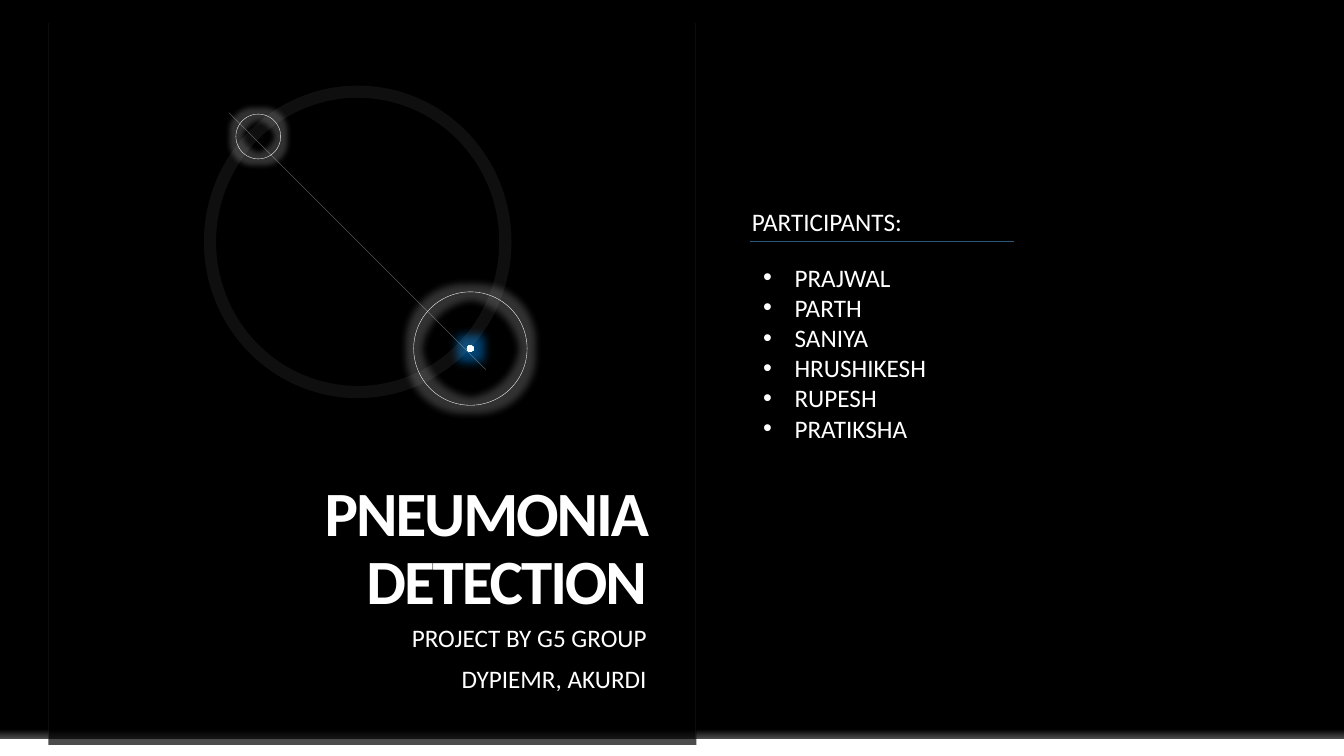
"""Build the opening slide of a pneumonia detection project."""
from collections import namedtuple

from lxml.etree import SubElement
from pptx import Presentation
from pptx.dml.color import RGBColor as Color
from pptx.enum.shapes import MSO_CONNECTOR as Connector, MSO_SHAPE as Shape
from pptx.enum.text import MSO_ANCHOR as Anchor, MSO_AUTO_SIZE as AutoSize, PP_ALIGN as Align
from pptx.oxml.ns import qn
from pptx.util import Pt

Theme = namedtuple("Theme", "font black white edge axis rule halo spark mist sky title body")
theme = Theme("Calibri", "000000", "FFFFFF", "F2F2F2", "E7E6E6", "2C567A",
              "FFFFFF", "0070C0", "F7FFFF", "C1E4FF", 45, 18)

deck = Presentation()
deck.slide_width, deck.slide_height = Pt(960), Pt(540)
page = deck.slides.add_slide(deck.slide_layouts[6])
page.background.fill.solid()
page.background.fill.fore_color.rgb = Color.from_string(theme.black)


def paint(shape, fill=None, line=None, width=0.25, opacity=100, glow=None):
    if fill:
        shape.fill.solid()
        shape.fill.fore_color.rgb = Color.from_string(fill)
    elif hasattr(shape, "fill"):
        shape.fill.background()
    if line:
        shape.line.color.rgb = Color.from_string(line)
        shape.line.width = Pt(width)
    else:
        shape.line.fill.background()
    properties = shape.element.spPr
    if opacity < 100:
        for color in properties.iter(qn("a:srgbClr")):
            SubElement(color, qn("a:alpha"), val=str(opacity * 1000))
    effects = SubElement(properties, qn("a:effectLst"))
    if glow:
        tint, radius, strength = glow
        halo = SubElement(effects, qn("a:glow"), rad=str(Pt(radius)))
        color = SubElement(halo, qn("a:srgbClr"), val=tint)
        SubElement(color, qn("a:alpha"), val=str(strength * 1000))
    return shape


def write(text, at, size=theme.body, bold=False, align=Align.LEFT, anchor=Anchor.TOP,
          inset=None, grow=False, leading=None, before=0, tracking=None, bullet=None):
    box = page.shapes.add_textbox(*map(Pt, at))
    frame = box.text_frame
    frame.word_wrap = True
    frame.vertical_anchor = anchor
    frame.auto_size = AutoSize.SHAPE_TO_FIT_TEXT if grow else AutoSize.NONE
    if inset is not None:
        frame.margin_left = frame.margin_right = Pt(inset)
        frame.margin_top = frame.margin_bottom = Pt(inset)
    frame.text = text
    for para in frame.paragraphs:
        para.alignment = align
        para.line_spacing = leading
        para.space_before = Pt(before)
        if bullet:
            layout = para._p.get_or_add_pPr()
            layout.set("marL", str(Pt(22.5)))
            layout.set("indent", str(-Pt(22.5)))
            SubElement(layout, qn("a:buFont"), typeface="Arial")
            SubElement(layout, qn("a:buChar"), char=bullet)
        for span in para.runs:
            span.font.name = theme.font
            span.font.size = Pt(size)
            span.font.bold = bold
            span.font.color.rgb = Color.from_string(theme.white)
            if tracking:
                span.font._element.set("spc", str(int(tracking * 100)))


panels = []
for at, fill, opacity in [
    ((0, 528, 960, 12), theme.white, 100),
    ((0, 516, 960, 12), theme.white, 100),
    ((34.5, 306.5, 463, 225.5), theme.black, 70),
    ((34.5, 16.5, 463, 290.5), theme.black, 94),
]:
    panel = page.shapes.add_shape(Shape.RECTANGLE, *map(Pt, at))
    panels.append(paint(panel, fill=fill, opacity=opacity))
floor_fade = panels[1]

for x in (497, 34.5):
    edge = page.shapes.add_connector(Connector.STRAIGHT, Pt(x), Pt(16.5), Pt(x), Pt(528))
    paint(edge, line=theme.edge, opacity=15)

write("PNEUMONIA DETECTION", (47.5, 294, 414.5, 147.5), size=theme.title, bold=True,
      align=Align.RIGHT, anchor=Anchor.BOTTOM, inset=0, leading=0.9, tracking=-1.5)
write("PROJECT BY G5 GROUP\nDYPIEMR, AKURDI", (55.5, 447, 406.5, 55), align=Align.RIGHT,
      inset=0, leading=0.9, before=10)

target = page.shapes.add_group_shape()
orbit = page.shapes.add_group_shape()
circles = []
for parent, at, look in [
    (page, (168.5, 81.5, 32, 32), dict(line=theme.white, glow=(theme.halo, 8, 20))),
    (target, (295.5, 208.5, 81, 81), dict(line=theme.white, glow=(theme.halo, 11, 20))),
    (target, (333.5, 246.5, 5, 5), dict(fill=theme.white, glow=(theme.spark, 14, 60))),
    (orbit, (150, 65.5, 211, 214.5), dict(line=theme.white, width=8.75, opacity=6)),
]:
    circle = parent.shapes.add_shape(Shape.OVAL, *map(Pt, at))
    circles.append(paint(circle, **look))
spark = circles[2]
axis = orbit.shapes.add_connector(Connector.STRAIGHT, Pt(163.5), Pt(80.5), Pt(347), Pt(264))
paint(axis, line=theme.axis, width=0.5, opacity=30)

for shape, stops in [
    (floor_fade, [(40, theme.white, 0), (100, theme.white, 35)]),
    (spark, [(0, theme.white, 100), (65, theme.mist, 100), (70, theme.sky, 100)]),
]:
    solid = shape.element.spPr.find(qn("a:solidFill"))
    gradient = SubElement(shape.element.spPr, qn("a:gradFill"), rotWithShape="1")
    solid.getparent().replace(solid, gradient)
    stop_list = SubElement(gradient, qn("a:gsLst"))
    for place, tint, opacity in stops:
        stop = SubElement(stop_list, qn("a:gs"), pos=str(place * 1000))
        color = SubElement(stop, qn("a:srgbClr"), val=tint)
        SubElement(color, qn("a:alpha"), val=str(opacity * 1000))
    if shape is spark:
        center = SubElement(gradient, qn("a:path"), {"path": "circle"})
        SubElement(center, qn("a:fillToRect"), dict.fromkeys("ltrb", "50000"))
    else:
        SubElement(gradient, qn("a:lin"), ang="5400000", scaled="0")

write("PARTICIPANTS:", (530, 144, 233, 29), grow=True)
rule = page.shapes.add_connector(Connector.STRAIGHT, Pt(724.5), Pt(172.5), Pt(535.5), Pt(172.5))
paint(rule, line=theme.rule, width=0.5)
participants = ["PRAJWAL", "PARTH", "SANIYA", "HRUSHIKESH", "RUPESH", "PRATIKSHA"]
write("\n".join(participants), (538, 183.5, 319, 138), grow=True, bullet="•")

deck.save("out.pptx")
